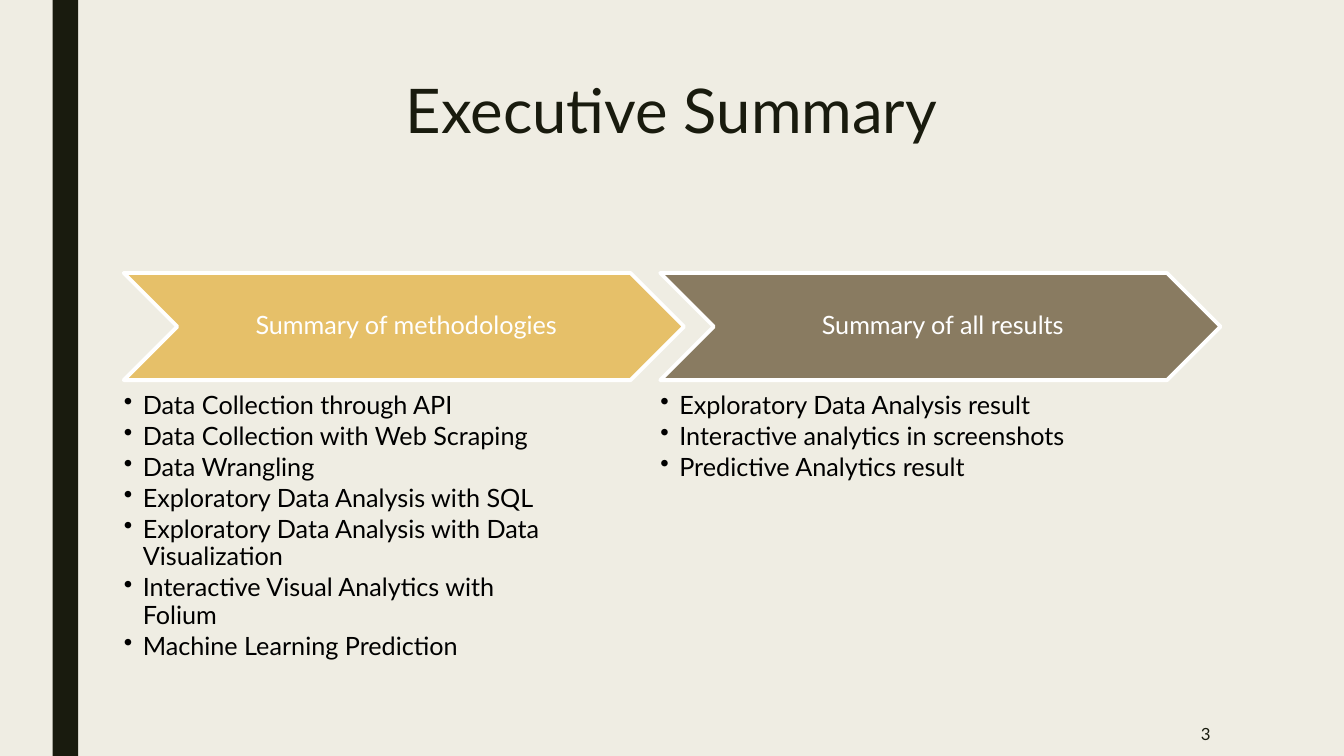
"""Build the executive summary slide with two chevron columns."""
import pptx
import pptx.dml.color
import pptx.enum.shapes
import pptx.enum.text
import pptx.oxml.ns
import pptx.util
from lxml import etree

Cm = pptx.util.Cm
Pt = pptx.util.Pt
Align = pptx.enum.text.PP_ALIGN
Anchor = pptx.enum.text.MSO_ANCHOR
Kind = pptx.enum.shapes.MSO_SHAPE

INK, PAPER, WHITE, BLACK = "191B0E", "EFEDE3", "FFFFFF", "000000"
COLUMNS = [
    ("Summary of methodologies", "E6C069", [
        "Data Collection through API",
        "Data Collection with Web Scraping",
        "Data Wrangling",
        "Exploratory Data Analysis with SQL",
        "Exploratory Data Analysis with Data Visualization",
        "Interactive Visual Analytics with Folium",
        "Machine Learning Prediction",
    ]),
    ("Summary of all results", "897B61", [
        "Exploratory Data Analysis result",
        "Interactive analytics in screenshots",
        "Predictive Analytics result",
    ]),
]


def color(code):
    return pptx.dml.color.RGBColor.from_string(code)


class Deck:
    font = "Lato"

    def __init__(self, show):
        self.slide = show.slides.add_slide(show.slide_layouts[6])
        fill = self.slide.background.fill
        fill.solid()
        fill.fore_color.rgb = color(PAPER)

    def shape(self, kind, box, fill, line=None):
        item = self.slide.shapes.add_shape(kind, *map(Cm, box))
        item.shadow.inherit = False
        item.fill.solid()
        item.fill.fore_color.rgb = color(fill)
        if line:
            item.line.color.rgb = color(line)
            item.line.width = Pt(2.75)
        else:
            item.line.fill.background()
        return item

    def frame(self, item, anchor, pads):
        body = item.text_frame
        body.word_wrap = True
        body.vertical_anchor = anchor
        (body.margin_left, body.margin_top,
         body.margin_right, body.margin_bottom) = map(Cm, pads)
        return body

    def say(self, para, text, size, ink, align, space=0.9):
        para.alignment = align
        para.line_spacing = space
        run = para.add_run()
        run.text = text
        run.font.name = self.font
        run.font.size = Pt(size)
        run.font.color.rgb = color(ink)

    def label(self, box, text, size, align, anchor=Anchor.TOP, space=0.9):
        item = self.slide.shapes.add_textbox(*map(Cm, box))
        body = self.frame(item, anchor, (0.25, 0.13, 0.25, 0.13))
        self.say(body.paragraphs[0], text, size, INK, align, space)

    def chevron(self, box, text, fill):
        item = self.shape(Kind.CHEVRON, box, fill, WHITE)
        body = self.frame(item, Anchor.MIDDLE, (0.2, 0.08, 0.08, 0.08))
        self.say(body.paragraphs[0], text, 18, WHITE, Align.CENTER)

    def bullets(self, box, lines):
        item = self.slide.shapes.add_textbox(*map(Cm, box))
        body = self.frame(item, Anchor.TOP, (0, 0, 0, 0))
        for i, line in enumerate(lines):
            para = body.add_paragraph() if i else body.paragraphs[0]
            para.level = 1
            props = para._p.get_or_add_pPr()
            props.set("marL", str(Cm(0.48)))
            props.set("indent", str(-Cm(0.48)))
            mark = etree.SubElement(props, pptx.oxml.ns.qn("a:buChar"))
            mark.set("char", "•")
            para.space_after = Pt(2.7)
            self.say(para, line, 18, BLACK, Align.LEFT)


def main():
    show = pptx.Presentation()
    show.slide_width, show.slide_height = Cm(33.87), Cm(19.05)
    deck = Deck(show)
    deck.shape(Kind.RECTANGLE, (1.33, 0, 0.64, 19.05), INK)
    deck.label((1.78, 1.9, 30.3, 4.11), "Executive Summary", 44,
               Align.CENTER, space=0.89)
    deck.label((26.31, 17.93, 4.45, 1.12), "3", 12, Align.RIGHT,
               Anchor.MIDDLE, 1.0)
    for i, (head, fill, lines) in enumerate(COLUMNS):
        left = 3.12 + 13.52 * i
        deck.chevron((left, 6.88, 14.12, 2.7), head, fill)
        deck.bullets((left, 9.9, 11.28, 5.84), lines)
    show.save("out.pptx")


if __name__ == "__main__":
    main()
